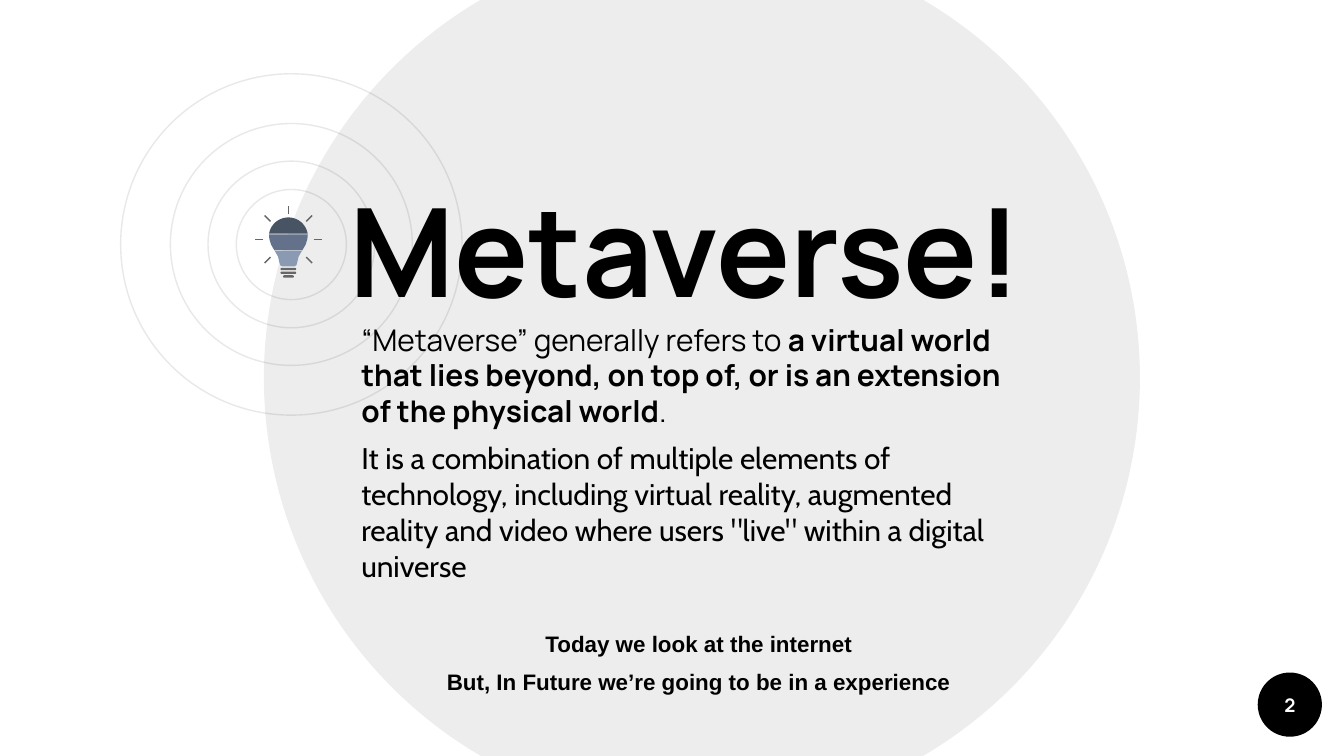
from math import cos, radians, sin

from lxml.etree import SubElement
from pptx import Presentation
from pptx.dml.color import RGBColor
from pptx.enum.shapes import MSO_CONNECTOR, MSO_SHAPE
from pptx.enum.text import MSO_ANCHOR, PP_ALIGN
from pptx.oxml.ns import qn
from pptx.util import Pt

COLORS = {
    "black": "000000",
    "white": "FFFFFF",
    "ring": "E8E8E8",
    "dome": "485364",
    "middle": "63728A",
    "neck": "8B9AB3",
    "gray": "666666",
}


def add_text(left, top, width, height, paragraphs, size=16, font="Manrope",
             color="black", align=PP_ALIGN.LEFT, anchor=MSO_ANCHOR.TOP):
    tf = s.shapes.add_textbox(Pt(left), Pt(top), Pt(width), Pt(height)).text_frame
    tf.word_wrap = True
    tf.vertical_anchor = anchor
    tf.margin_left = tf.margin_right = tf.margin_top = tf.margin_bottom = Pt(7.2)
    for i, runs in enumerate(paragraphs):
        p = tf.paragraphs[0] if i == 0 else tf.add_paragraph()
        p.alignment = align
        p.space_before = Pt(6 if i else 0)
        for text, bold, *face in runs:
            r = p.add_run()
            r.text = text
            r.font.name = face[0] if face else font
            r.font.size = Pt(size)
            r.font.bold = bold
            r.font.color.rgb = RGBColor.from_string(COLORS[color])


def paint(sp, fill=None, line=None):
    sp.shadow.inherit = False
    if fill:
        sp.fill.solid()
        sp.fill.fore_color.rgb = RGBColor.from_string(COLORS[fill])
    else:
        sp.fill.background()
    if line:
        sp.line.color.rgb = RGBColor.from_string(COLORS[line])
        sp.line.width = Pt(0.75)
    else:
        sp.line.fill.background()


prs = Presentation()
prs.slide_width, prs.slide_height = Pt(720), Pt(405)
s = prs.slides.add_slide(prs.slide_layouts[6])

sp = s.shapes.add_shape(MSO_SHAPE.OVAL, Pt(673.8), Pt(360.3), Pt(34.4), Pt(34.4))
paint(sp, "black")

for d in (182.9, 89.3, 129.6, 59):
    sp = s.shapes.add_shape(MSO_SHAPE.OVAL, Pt(156.1 - d / 2), Pt(131 - d / 2), Pt(d), Pt(d))
    paint(sp, line="ring")

sp = s.shapes.add_shape(MSO_SHAPE.OVAL, Pt(141.4), Pt(-32.2), Pt(469.3), Pt(469.3))
paint(sp, "black")
clr = sp.fill._xPr.find(qn("a:solidFill"))[0]
SubElement(clr, qn("a:alpha")).set("val", "7000")

add_text(180, 57.6, 418.3, 122.4, [[("Metaverse!", True)]], size=66, anchor=MSO_ANCHOR.BOTTOM)
add_text(186.5, 164.9, 362.9, 140.4, [
    [("“Metaverse” generally refers to\u00a0".replace("\u00a0", " "), False),
     ("a virtual world that lies beyond, on top of, or is an extension of the physical world", True),
     (".", False)],
    [("It is a combination of multiple elements of technology, including virtual reality, "
      "augmented reality and video where users \"live\" within a digital universe", False, "Cabin")],
])
add_text(673.8, 360.3, 34.4, 34.4, [[("2", True)]], size=10, color="white",
         align=PP_ALIGN.CENTER, anchor=MSO_ANCHOR.MIDDLE)

cx, cy = 154.5, 128.2
dome = [(cx + 10.5 * cos(radians(a)), 127 - 10.5 * sin(radians(a))) for a in range(170, 9, -8)]
middle = [(144.1, 125.6), (144.3, 128), (145.2, 131), (147, 134.1),
          (162, 134.1), (163.8, 131), (164.7, 128), (164.9, 125.6)]
neck = [(147.3, 134.6), (149, 137.5), (149.8, 141), (150.2, 142.2), (151.2, 142.7),
        (157.8, 142.7), (158.8, 142.2), (159.2, 141), (160, 137.5), (161.7, 134.6)]
for name, points in (("dome", dome), ("middle", middle), ("neck", neck)):
    points = [(Pt(x), Pt(y)) for x, y in points]
    fb = s.shapes.build_freeform(*points[0])
    fb.add_line_segments(points[1:], close=True)
    paint(fb.convert_to_shape(), name)

for angle in range(-45, 226, 45):
    dx, dy = cos(radians(angle)), -sin(radians(angle))
    ray = s.shapes.add_connector(MSO_CONNECTOR.STRAIGHT,
                                 Pt(cx + 13.5 * dx), Pt(cy + 13.5 * dy),
                                 Pt(cx + 18 * dx), Pt(cy + 18 * dy))
    ray.line.color.rgb = RGBColor.from_string(COLORS["gray"])
    ray.line.width = Pt(0.75)
    SubElement(ray._element.spPr, qn("a:effectLst"))

for i, width in enumerate((8.4, 8.4, 5.8)):
    sp = s.shapes.add_shape(MSO_SHAPE.ROUNDED_RECTANGLE, Pt(cx - width / 2), Pt(143.5 + 2 * i),
                            Pt(width), Pt(1.3))
    sp.adjustments[0] = 0.5
    paint(sp, "gray")

add_text(186.5, 330.5, 375.8, 70, [
    [("Today we look at the internet", True)],
    [("But, In Future we’re going to be in a experience", True)],
], size=12, font="Arial", align=PP_ALIGN.CENTER)

prs.save("out.pptx")
